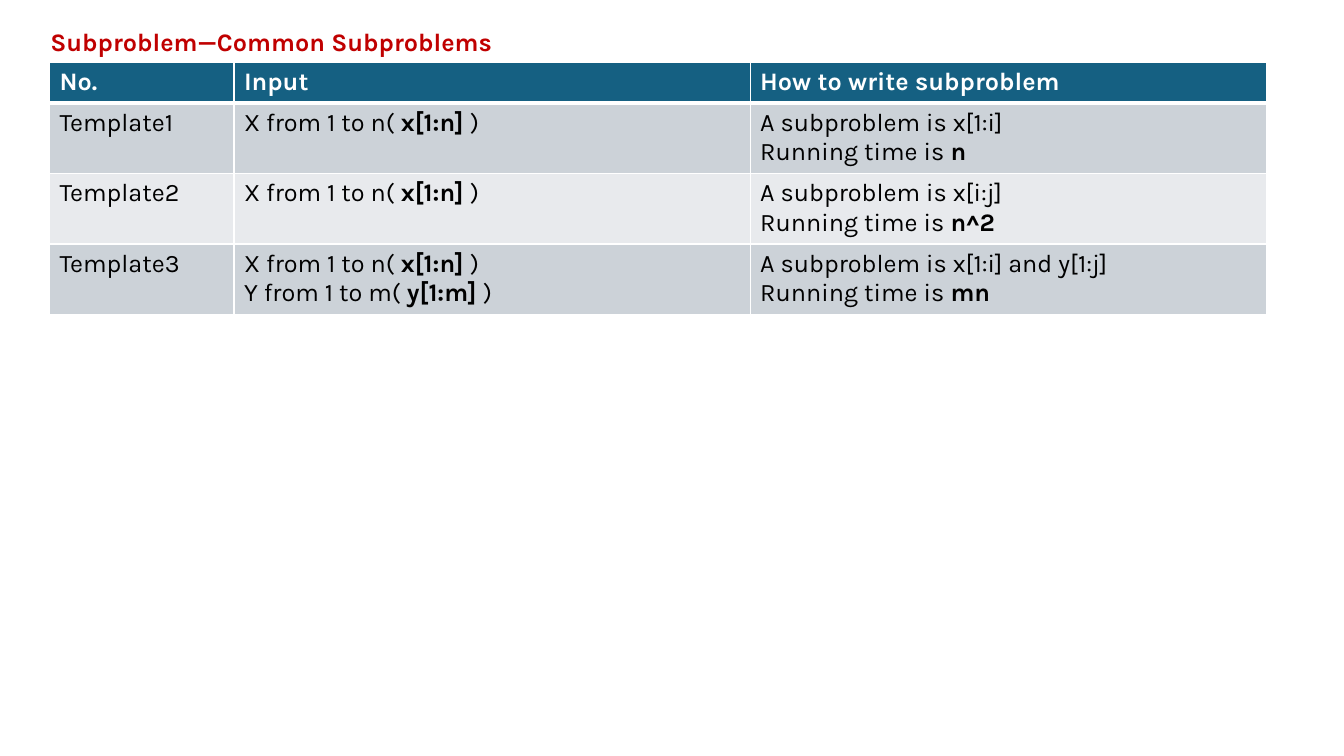
from dataclasses import dataclass

from lxml import etree
from pptx import Presentation
from pptx.dml.color import RGBColor
from pptx.enum import text
from pptx.oxml import ns
from pptx.util import Inches, Pt

RED = RGBColor(0xC0, 0x00, 0x00)
BLUE = RGBColor(0x15, 0x60, 0x82)
DARK_BAND = RGBColor(0xCC, 0xD2, 0xD8)
LIGHT_BAND = RGBColor(0xE8, 0xEA, 0xED)
WHITE = RGBColor(0xFF, 0xFF, 0xFF)
BLACK = RGBColor(0x00, 0x00, 0x00)


@dataclass(frozen=True)
class Line:
    """One line of text whose middle part is bold."""
    before: str = ""
    strong: str = ""
    after: str = ""


@dataclass(frozen=True)
class Row:
    cells: tuple[tuple[Line, ...], ...]
    height: float
    fill: RGBColor
    color: RGBColor = BLACK
    bottom_border: float = 1


def add_run(paragraph, wording: str, color: RGBColor, bold: bool) -> None:
    run = paragraph.add_run()
    run.text = wording
    for name, value in {"name": "Karla", "size": Pt(18), "bold": bold}.items():
        setattr(run.font, name, value)
    run.font.color.rgb = color


def add_border(cell, side: str, width: float) -> None:
    properties = cell._tc.get_or_add_tcPr()
    border = etree.SubElement(properties, ns.qn(f"a:ln{side}"), w=str(Pt(width)))
    fill = etree.SubElement(border, ns.qn("a:solidFill"))
    etree.SubElement(fill, ns.qn("a:srgbClr"), val=str(WHITE))


def fill_cell(cell, lines: tuple[Line, ...], row: Row, top_border: float) -> None:
    # Borders come before the fill in the cell properties
    for side, width in {"L": 1, "R": 1, "T": top_border, "B": row.bottom_border}.items():
        add_border(cell, side, width)
    cell.fill.solid()
    cell.fill.fore_color.rgb = row.fill
    frame = cell.text_frame
    for index, line in enumerate(lines):
        paragraph = frame.add_paragraph() if index else frame.paragraphs[0]
        for wording, bold in ((line.before, False), (line.strong, True), (line.after, False)):
            if wording:
                add_run(paragraph, wording, row.color, bold)


def add_title(slide, wording: str) -> None:
    title = slide.shapes.title
    for name, value in {"left": 0.4, "top": 0.21, "width": 8.38, "height": 0.4}.items():
        setattr(title, name, Inches(value))
    frame = title.text_frame
    frame_format = {
        "word_wrap": True,
        "auto_size": text.MSO_AUTO_SIZE.SHAPE_TO_FIT_TEXT,
        "vertical_anchor": text.MSO_ANCHOR.TOP,
    }
    for name, value in frame_format.items():
        setattr(frame, name, value)
    frame.paragraphs[0].alignment = text.PP_ALIGN.LEFT
    add_run(frame.paragraphs[0], wording, RED, True)


def add_subproblem_table(slide, rows: list[Row], widths: list[float]) -> None:
    table = slide.shapes.add_table(
        len(rows), len(widths), Inches(0.49), Inches(0.62),
        Inches(sum(widths)), Inches(sum(row.height for row in rows))).table
    for column, width in zip(table.columns, widths):
        column.width = Inches(width)
    top_border = 1
    for index, row in enumerate(rows):
        table.rows[index].height = Inches(row.height)
        for cell, lines in zip(table.rows[index].cells, row.cells):
            fill_cell(cell, lines, row, top_border)
        top_border = row.bottom_border


def build() -> None:
    deck = Presentation()
    deck.slide_width, deck.slide_height = Inches(13.33), Inches(7.5)
    slide = deck.slides.add_slide(deck.slide_layouts[5])
    add_title(slide, "Subproblem—Common Subproblems")

    # Header row
    headings = ("No.", "Input", "How to write subproblem")
    rows = [Row(tuple((Line(strong=heading),) for heading in headings),
                0.4, BLUE, WHITE, bottom_border=3)]

    # Template rows: inputs, subproblem, running time
    x_input = Line("X from 1 to n( ", "x[1:n] ", ")")
    y_input = Line("Y from 1 to m( ", "y[1:m] ", ")")
    templates = [
        ((x_input,), "x[1:i]", "n"),
        ((x_input,), "x[i:j]", "n^2"),
        ((x_input, y_input), "x[1:i] and y[1:j]", "mn"),
    ]
    for number, (inputs, subproblem, time) in enumerate(templates, start=1):
        method = (Line(f"A subproblem is {subproblem}"), Line("Running time is ", time))
        rows.append(Row(((Line(f"Template{number}"),), inputs, method),
                        0.7, DARK_BAND if number % 2 else LIGHT_BAND))
    add_subproblem_table(slide, rows, [1.83, 5.12, 5.12])

    deck.save("out.pptx")


if __name__ == "__main__":
    build()
